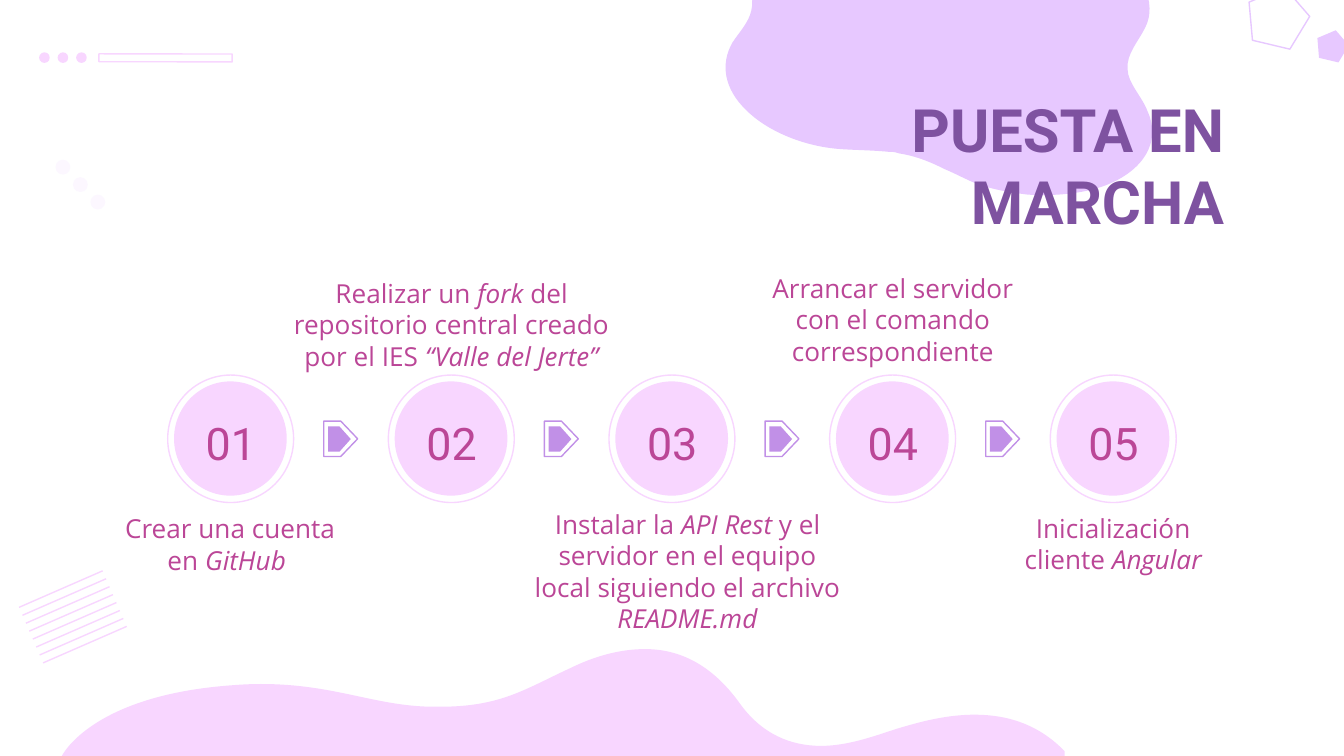
from lxml.etree import SubElement
from pptx import Presentation
from pptx.dml.color import RGBColor
from pptx.enum.shapes import MSO_CONNECTOR, MSO_SHAPE
from pptx.enum.text import MSO_ANCHOR, PP_ALIGN
from pptx.oxml.ns import qn
from pptx.util import Cm, Pt

PINK, LILAC, VIOLET, PALE = "F8D6FF", "E7C8FF", "C190E7", "FCF7FF"
PURPLE, MAGENTA = "7E52A0", "BB4697"

BOTTOM_WAVE = [
    (1.17, 15.57),
    (1.17, 14.29),
    (1.17, 14.29, 1.68, 13.23, 4.09, 12.98),
    (4.39, 12.95, 4.67, 12.93, 4.93, 12.93),
    (6.32, 12.93, 7.06, 13.34, 8.15, 13.36),
    (8.2, 13.36, 8.26, 13.36, 8.31, 13.36),
    (9.47, 13.36, 9.91, 13.03, 10.8, 12.62),
    (11.25, 12.4, 11.73, 12.27, 12.19, 12.27),
    (12.83, 12.27, 13.44, 12.55, 13.97, 13.28),
    (14.4, 13.89, 14.96, 14.1, 15.52, 14.1),
    (16.05, 14.1, 16.59, 13.89, 16.97, 13.77),
    (17.25, 13.69, 17.81, 13.51, 18.42, 13.51),
    (19, 13.51, 19.61, 13.67, 20.12, 14.2),
    (20.12, 15.57),
]
TOP_BLOB = [
    (19.43, 3.68),
    (19.02, 3.63, 18.62, 3.56, 18.29, 3.4),
    (18.14, 3.33, 17.98, 3.25, 17.86, 3.2),
    (17.6, 3.07, 17.32, 2.95, 16.99, 2.9),
    (16.92, 2.87, 16.84, 2.87, 16.79, 2.87),
    (16.48, 2.84, 16.21, 2.84, 15.9, 2.82),
    (15.88, 2.82, 15.9, 2.82, 15.9, 2.82),
    (15.16, 2.77, 14.48, 2.46, 14.1, 2.08),
    (13.69, 1.68, 13.61, 1.22, 13.84, 0.81),
    (13.97, 0.61, 14.15, 0.43, 14.2, 0.2),
    (14.33, -0.33, 13.72, -0.81, 14.27, -1.32),
    (14.61, -1.63, 15.16, -1.75, 15.82, -1.73),
    (15.9, -1.73, 16, -1.7, 16.1, -1.7),
    (16.31, -1.68, 16.54, -1.65, 16.74, -1.65),
    (16.89, -1.63, 17.04, -1.63, 17.2, -1.63),
    (17.65, -1.63, 18.06, -1.68, 18.49, -1.7),
    (18.69, -1.73, 18.9, -1.7, 19.1, -1.7),
    (20.29, -1.6, 21.34, -0.99, 21.64, -0.25),
    (21.74, 0.03, 21.77, 0.28, 21.64, 0.53),
    (21.51, 0.79, 21.29, 1.02, 21.31, 1.3),
    (21.31, 1.57, 21.59, 1.83, 21.69, 2.11),
    (21.95, 2.67, 21.62, 3.23, 20.88, 3.51),
    (20.47, 3.66, 19.94, 3.71, 19.43, 3.68),
]
STEPS = [
    (1.85, 9.44, 5, 1.55, "Crear una cuenta en *GitHub *"),
    (5.26, 4.99, 6.55, 2.18, "Realizar un *fork* del repositorio central creado por el IES *“Valle del Jerte”*"),
    (9.72, 9.36, 6.55, 2.62, "Instalar la *API Rest *y el servidor en el equipo local siguiendo el archivo *README.md*"),
    (13.98, 4.9, 5.79, 2.06, "Arrancar el servidor con el comando correspondiente"),
    (18.54, 9.43, 5, 1.55, "Inicialización cliente *Angular*"),
]


def rgb(color):
    """Turn a hex string into a colour."""
    return RGBColor.from_string(color)


def paint(sp, fill=None, line=None):
    """Set fill and outline, leaving out whichever is not given."""
    sp.shadow.inherit = False
    if fill:
        sp.fill.solid()
        sp.fill.fore_color.rgb = rgb(fill)
    else:
        sp.fill.background()
    if line:
        sp.line.color.rgb = rgb(line)
        sp.line.width = Pt(0.75)
    else:
        sp.line.fill.background()


def add_preset(s, kind, x, y, w, h, fill=None, line=None, rotation=0):
    """Add a preset shape."""
    sp = s.shapes.add_shape(kind, Cm(x), Cm(y), Cm(w), Cm(h))
    sp.rotation = rotation
    paint(sp, fill, line)
    return sp


def add_blob(s, outline, fill):
    """Add a filled outline whose six-number parts are cubic curves."""
    points = [(Cm(part[i]), Cm(part[i + 1])) for part in outline for i in range(0, len(part), 2)]
    builder = s.shapes.build_freeform(*points[0])
    builder.add_line_segments(points[1:], close=True)
    sp = builder.convert_to_shape()
    segments = iter(list(sp._element.iter(qn("a:lnTo"))))
    for part in outline[1:]:
        segment = next(segments)
        if len(part) == 6:
            segment.tag = qn("a:cubicBezTo")
            for extra in (next(segments), next(segments)):
                segment.append(extra[0])
                extra.getparent().remove(extra)
    paint(sp, fill)


def add_line(s, x1, y1, x2, y2, color):
    """Add a thin straight line."""
    line = s.shapes.add_connector(MSO_CONNECTOR.STRAIGHT, Cm(x1), Cm(y1), Cm(x2), Cm(y2))
    line.line.color.rgb = rgb(color)
    line.line.width = Pt(0.75)
    SubElement(line._element.spPr, qn("a:effectLst"))


def add_text(s, x, y, w, h, text, font, size, color, align=PP_ALIGN.CENTER, bold=False):
    """Add a text box in which asterisks mark italics."""
    tf = s.shapes.add_textbox(Cm(x), Cm(y), Cm(w), Cm(h)).text_frame
    tf.word_wrap = True
    tf.vertical_anchor = MSO_ANCHOR.TOP
    tf.margin_left = tf.margin_right = tf.margin_top = tf.margin_bottom = Cm(0.25)
    p = tf.paragraphs[0]
    p.alignment = align
    for i, part in enumerate(text.split("*")):
        if part:
            r = p.add_run()
            r.text = part
            r.font.name, r.font.size = font, Pt(size)
            r.font.bold, r.font.italic = bold, i % 2 == 1
            r.font.color.rgb = rgb(color)


def add_decoration(s):
    """Add the background ornaments."""
    add_blob(s, BOTTOM_WAVE, PINK)
    add_blob(s, TOP_BLOB, LILAC)
    for x, y, w, h, fill, line in ((23.5, -0.23, 1.17, 1.12, None, LILAC),
                                   (24.84, 0.58, 0.61, 0.58, LILAC, None)):
        sp = add_preset(s, MSO_SHAPE.REGULAR_PENTAGON, x, y, w, h, fill, line, 301.2)
        sp._element.spPr.xfrm.set("flipH", "1")
    for i in range(3):
        add_preset(s, MSO_SHAPE.OVAL, 1.05 + 0.33 * i, 3.02 + 0.33 * i, 0.28, 0.28, PALE)
        add_preset(s, MSO_SHAPE.OVAL, 0.74 + 0.35 * i, 0.99, 0.2, 0.2, PINK)
    add_preset(s, MSO_SHAPE.RECTANGLE, 1.87, 1.02, 2.52, 0.15, line=PINK, rotation=0.1)
    for i in range(8):
        x, y = 0.36 + 0.065 * i, 11.48 + 0.15 * i
        add_line(s, x + 1.58, y - 0.69, x, y, PINK)


def add_step(s, i, x, y, w, h, text):
    """Add one numbered circle with its caption."""
    left = 3.17 + 4.17 * i
    add_preset(s, MSO_SHAPE.OVAL, left, 7.09, 2.38, 2.41, line=PINK)
    add_preset(s, MSO_SHAPE.OVAL, left + 0.12, 7.21, 2.13, 2.16, PINK)
    add_text(s, left + 0.32, 7.61, 1.75, 1.12, f"{i + 1:02}", "Roboto", 24, MAGENTA)
    add_text(s, x, y, w, h, text, "Open Sans", 14, MAGENTA)


def add_arrow(s, i):
    """Add the arrow that follows a step."""
    left = 6.12 + 4.17 * i
    add_preset(s, MSO_SHAPE.PENTAGON, left, 7.96, 0.64, 0.67, line=VIOLET)
    add_preset(s, MSO_SHAPE.PENTAGON, left + 0.08, 8.06, 0.43, 0.48, VIOLET)


def main():
    """Build the slide."""
    prs = Presentation()
    prs.slide_width, prs.slide_height = Cm(25.4), Cm(14.29)
    s = prs.slides.add_slide(prs.slide_layouts[6])
    add_decoration(s)
    for i, step in enumerate(STEPS):
        add_step(s, i, *step)
    for i in range(len(STEPS) - 1):
        add_arrow(s, i)
    add_text(s, 11.91, 1.51, 11.48, 3.28, "PUESTA EN MARCHA", "Roboto", 32, PURPLE,
             PP_ALIGN.RIGHT, True)
    prs.save("out.pptx")


if __name__ == "__main__":
    main()
